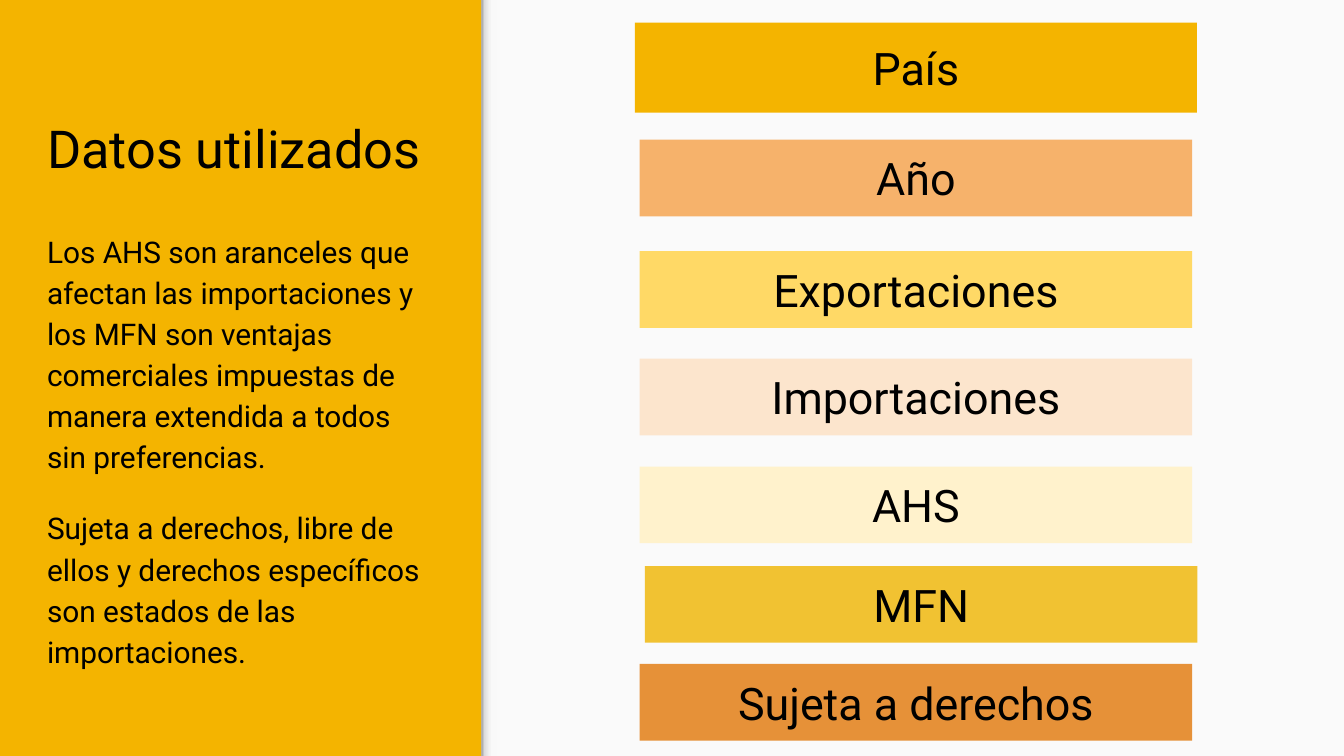
from copy import deepcopy
from dataclasses import dataclass

from pptx import Presentation
from pptx.dml.color import RGBColor
from pptx.enum.shapes import MSO_SHAPE
from pptx.enum.text import MSO_ANCHOR, MSO_AUTO_SIZE, PP_ALIGN
from pptx.util import Cm, Pt


@dataclass(frozen=True)
class Theme:
    font: str = "Roboto"
    text: str = "000000"
    accent: str = "F4B400"
    panel: str = "FAFAFA"
    edge: tuple = ((0, "999999"), (0.2, "DEDEDE"), (0.64, "F9F9F9"), (1, "F9F9F9"))
    title_size: int = 28
    field_size: int = 24
    body_size: int = 16


THEME = Theme()
SLIDE_WIDTH, SLIDE_HEIGHT = 25.4, 14.29
PANEL_LEFT = 9.1
TEXT_LEFT, TEXT_WIDTH = 0.64, 7.8

EXPLANATION = (
    "Los AHS son aranceles que afectan las importaciones y los MFN son ventajas "
    "comerciales impuestas de manera extendida a todos sin preferencias.",
    "Sujeta a derechos, libre de ellos y derechos específicos son estados de las "
    "importaciones.",
)

FIELD_LEFT, FIELD_WIDTH, FIELD_HEIGHT = 12.09, 10.44, 1.45
# label, fill, left, top, width, height
FIELDS = (
    ("País", THEME.accent, 12.0, 0.43, 10.62, 1.7),
    ("Año", "F6B26B", FIELD_LEFT, 2.64, FIELD_WIDTH, FIELD_HEIGHT),
    ("Exportaciones", "FFD966", FIELD_LEFT, 4.75, FIELD_WIDTH, FIELD_HEIGHT),
    ("Importaciones", "FCE5CD", FIELD_LEFT, 6.78, FIELD_WIDTH, FIELD_HEIGHT),
    ("AHS", "FFF2CC", FIELD_LEFT, 8.82, FIELD_WIDTH, FIELD_HEIGHT),
    ("MFN", "F1C232", 12.19, 10.7, FIELD_WIDTH, FIELD_HEIGHT),
    ("Sujeta a derechos", "E69138", FIELD_LEFT, 12.55, FIELD_WIDTH, FIELD_HEIGHT),
)


def write(frame, text, size, anchor, align=PP_ALIGN.LEFT):
    """Fill a text frame, one paragraph per line, in the theme's type."""
    frame.text = text
    frame.word_wrap = True
    frame.auto_size = MSO_AUTO_SIZE.NONE
    frame.vertical_anchor = anchor
    frame.margin_left = frame.margin_right = Cm(0.25)
    frame.margin_top = frame.margin_bottom = Cm(0.25)
    for paragraph in frame.paragraphs:
        paragraph.alignment = align
        for run in paragraph.runs:
            run.font.name = THEME.font
            run.font.size = Pt(size)
            run.font.color.rgb = RGBColor.from_string(THEME.text)


def add_block(slide, left, top, width, height, color):
    block = slide.shapes.add_shape(
        MSO_SHAPE.RECTANGLE, Cm(left), Cm(top), Cm(width), Cm(height)
    )
    block.shadow.inherit = False
    block.line.fill.background()
    block.fill.solid()
    block.fill.fore_color.rgb = RGBColor.from_string(color)
    return block


def add_panel_edge(slide):
    """Shade the panel's left edge, from dark to the panel's own tone."""
    edge = add_block(slide, PANEL_LEFT, 0, 0.3, SLIDE_HEIGHT, THEME.panel)
    edge.fill.gradient()
    edge.fill.gradient_angle = 0
    stop_list = edge.fill._fill._gradFill.gsLst
    while len(stop_list) < len(THEME.edge):
        stop_list.append(deepcopy(stop_list[0]))
    for stop, (position, color) in zip(edge.fill.gradient_stops, THEME.edge):
        stop.position = position
        stop.color.rgb = RGBColor.from_string(color)


def place_title(slide, text):
    title = slide.shapes.title
    title.left, title.top = Cm(TEXT_LEFT), Cm(1.0)
    title.width, title.height = Cm(TEXT_WIDTH), Cm(2.64)
    write(title.text_frame, text, THEME.title_size, MSO_ANCHOR.BOTTOM)


def add_explanation(slide, paragraphs):
    explanation = slide.shapes.add_textbox(
        Cm(TEXT_LEFT), Cm(4.06), Cm(TEXT_WIDTH), Cm(8.79)
    )
    frame = explanation.text_frame
    write(frame, "\n".join(paragraphs), THEME.body_size, MSO_ANCHOR.TOP)
    for paragraph in frame.paragraphs:
        paragraph.line_spacing = 1.15
    for paragraph in frame.paragraphs[1:]:
        paragraph.space_before = paragraph.space_after = Pt(16)


def add_field(slide, label, color, left, top, width, height):
    field = add_block(slide, left, top, width, height, color)
    write(field.text_frame, label, THEME.field_size, MSO_ANCHOR.MIDDLE, PP_ALIGN.CENTER)


def main():
    deck = Presentation()
    deck.slide_width, deck.slide_height = Cm(SLIDE_WIDTH), Cm(SLIDE_HEIGHT)
    slide = deck.slides.add_slide(deck.slide_layouts[5])
    slide.background.fill.solid()
    slide.background.fill.fore_color.rgb = RGBColor.from_string(THEME.accent)

    add_block(slide, PANEL_LEFT, 0, SLIDE_WIDTH - PANEL_LEFT, SLIDE_HEIGHT, THEME.panel)
    add_panel_edge(slide)
    place_title(slide, "Datos utilizados")
    add_explanation(slide, EXPLANATION)
    for field in FIELDS:
        add_field(slide, *field)
    deck.save("out.pptx")


if __name__ == "__main__":
    main()
